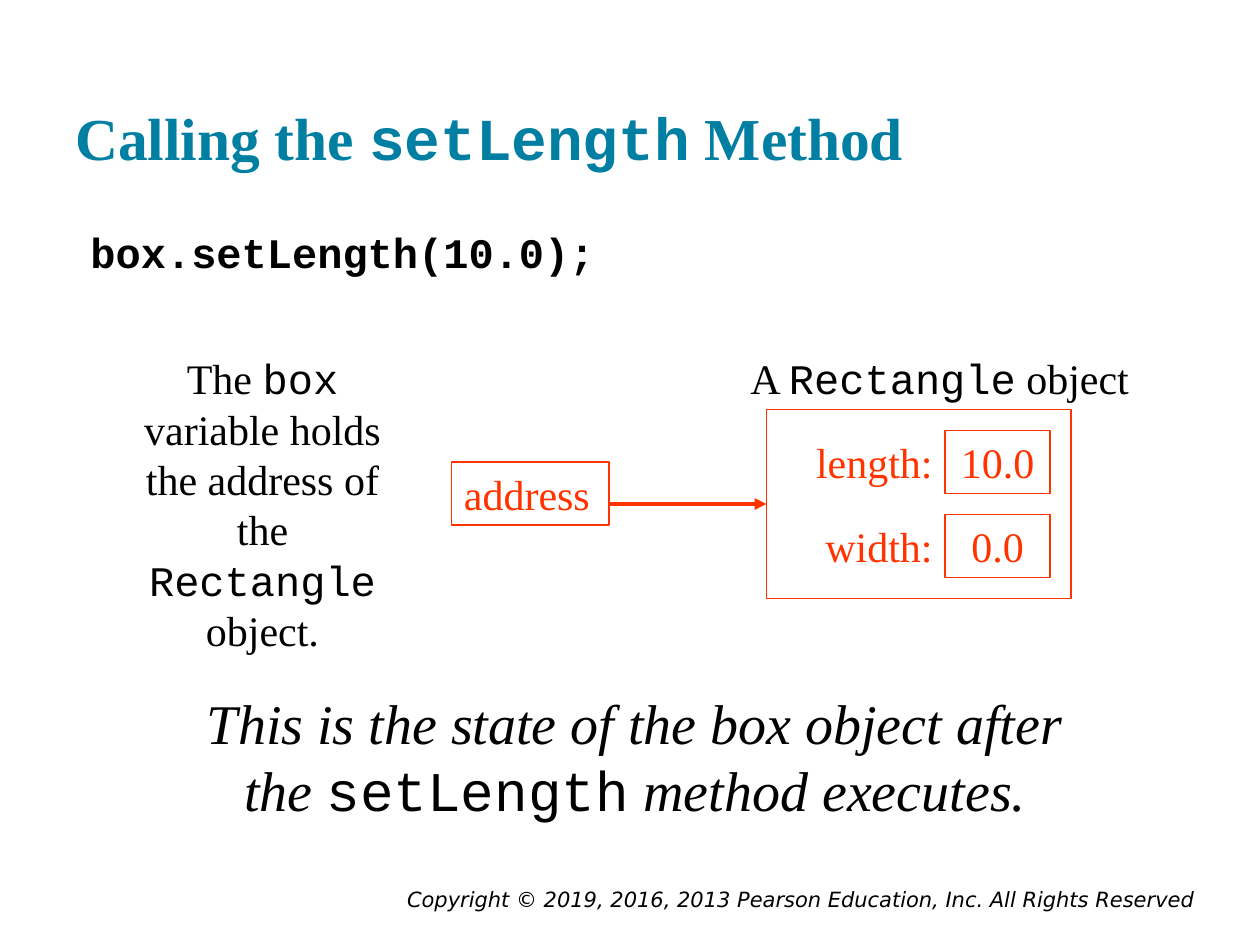
from lxml.etree import SubElement
from pptx import Presentation
from pptx.dml.color import RGBColor
from pptx.enum.shapes import MSO_CONNECTOR, MSO_SHAPE
from pptx.enum.text import MSO_ANCHOR, PP_ALIGN
from pptx.oxml.ns import qn
from pptx.util import Inches, Pt

COLS, ROWS = 120, 90
WIDE, HIGH = Inches(10), Inches(7.5)
TEAL = RGBColor(0x00, 0x7F, 0xA3)
BLACK = RGBColor(0, 0, 0)
RED = RGBColor(0xFF, 0x33, 0x00)
SERIF, MONO, SANS = "Times New Roman", "Courier New", "DejaVu Sans"
LEFT, MID, RIGHT = PP_ALIGN.LEFT, PP_ALIGN.CENTER, PP_ALIGN.RIGHT


def place(col, row, wide=0, high=0):
    """Turn grid cells into slide lengths."""
    return [round(n * unit) for n, unit in
            ((col, WIDE / COLS), (row, HIGH / ROWS),
             (wide, WIDE / COLS), (high, HIGH / ROWS))]


def write(shape, runs, size, color, align=LEFT, bold=False, pad=0.05):
    """Fill a shape with runs of (text, font, italic)."""
    frame = shape.text_frame
    frame.word_wrap = True
    frame.vertical_anchor = MSO_ANCHOR.TOP
    frame.margin_top = frame.margin_bottom = Inches(pad)
    para = frame.paragraphs[0]
    para.alignment = align
    for text, name, slant in runs:
        run = para.add_run()
        run.text = text
        font = run.font
        font.name, font.size = name, Pt(size)
        font.bold, font.italic = bold, slant
        font.color.rgb = color
    return frame


def label(slide, cells, runs, size=24, color=BLACK, align=MID, **style):
    """Add a text box on the grid."""
    shape = slide.shapes.add_textbox(*place(*cells))
    return write(shape, runs, size, color, align, **style)


def frame_box(slide, cells, text="", align=MID):
    """Add a red outlined rectangle, with text if given."""
    shape = slide.shapes.add_shape(MSO_SHAPE.RECTANGLE, *place(*cells))
    shape.shadow.inherit = False
    shape.fill.background()
    shape.line.color.rgb = RED
    shape.line.width = Pt(0.75)
    if text:
        write(shape, [(text, SERIF, False)], 24, RED, align)
    return shape


def arrow(slide, start, end, target):
    """Draw a red arrow that ends on the left side of the target."""
    line = slide.shapes.add_connector(
        MSO_CONNECTOR.STRAIGHT, *place(*start)[:2], *place(*end)[:2])
    line.end_connect(target, 1)
    line.line.color.rgb = RED
    line.line.width = Pt(2.25)
    SubElement(line.line._get_or_add_ln(), qn("a:tailEnd"), type="triangle")
    SubElement(line._element.spPr, qn("a:effectLst"))


def field(slide, row, name, value):
    """Add one named field of the object."""
    frame_box(slide, (90, row, 10, 6), value)
    label(slide, (75, row, 15, 6), [(name, SERIF, False)],
          color=RED, align=RIGHT)


def main():
    """Build the slide and save it."""
    deck = Presentation()
    deck.slide_width, deck.slide_height = WIDE, HIGH
    slide = deck.slides.add_slide(deck.slide_layouts[6])

    label(slide, (21, 84.4, 94, 2.6),
          [("Copyright © 2019, 2016, 2013 Pearson Education, Inc. "
            "All Rights Reserved", SANS, True)], 12, align=RIGHT, pad=0)
    title = label(slide, (6, 3.2, 108, 14.4),
                  [("Calling the ", SERIF, False), ("setLength", MONO, False),
                   (" Method", SERIF, False)],
                  34, TEAL, LEFT, bold=True, pad=0.1)
    title.vertical_anchor = MSO_ANCHOR.BOTTOM
    code = label(slide, (6.1, 20.4, 108, 59.4),
                 [("box.setLength(10.0);", MONO, False)],
                 align=LEFT, bold=True, pad=0.1)
    code.margin_left = Inches(0.21)

    label(slide, (11, 33, 28, 30),
          [("The ", SERIF, False), ("box ", MONO, False),
           ("variable holds the address of the ", SERIF, False),
           ("Rectangle", MONO, False), (" object.", SERIF, False)])
    frame_box(slide, (43, 44, 15, 6), "address", LEFT)
    field(slide, 41, "length:", "10.0")
    field(slide, 49, "width:", "0.0")
    thing = frame_box(slide, (73, 39, 29, 18))
    arrow(slide, (58, 48), (73, 48), thing)
    label(slide, (66, 33, 47, 6),
          [("A ", SERIF, False), ("Rectangle", MONO, False),
           (" object", SERIF, False)])
    label(slide, (18, 65, 85, 14),
          [("This is the state of the box object after the ", SERIF, True),
           ("setLength", MONO, False), (" method executes.", SERIF, True)], 32)

    deck.save("out.pptx")


if __name__ == "__main__":
    main()
